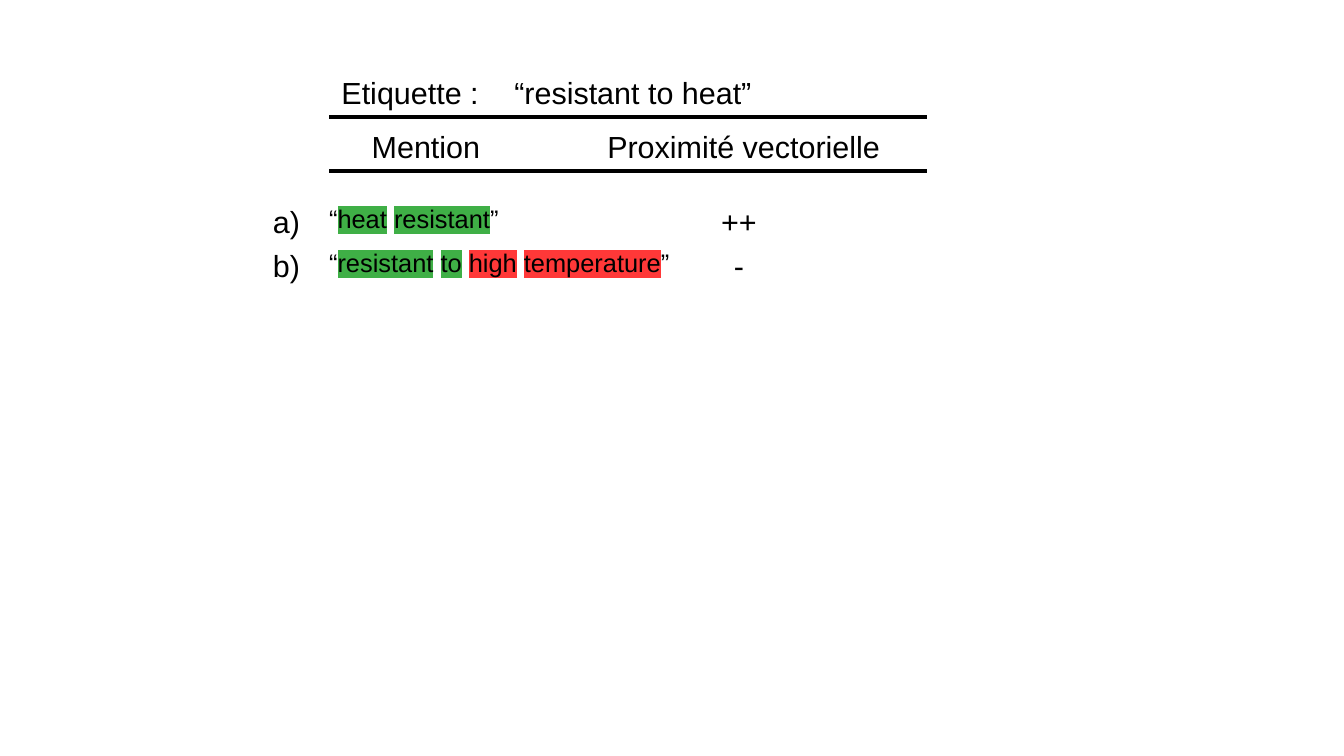
"""Build a slide comparing two mentions with the label they should match."""
from lxml.etree import SubElement
from pptx import Presentation
from pptx.dml.color import RGBColor
from pptx.enum.shapes import MSO_CONNECTOR
from pptx.enum.text import MSO_ANCHOR, MSO_AUTO_SIZE, PP_ALIGN
from pptx.oxml.ns import qn
from pptx.util import Pt

BLACK = RGBColor(0x00, 0x00, 0x00)
GREEN = RGBColor(0x3F, 0xAF, 0x46)
RED = RGBColor(0xFF, 0x38, 0x38)


class Page:
    def __init__(self, slide, font="Arial", size=18):
        self.slide = slide
        self.font = font
        self.size = size

    def style(self, run, size):
        run.font.size = Pt(size)
        run.font.name = self.font
        run.font.color.rgb = BLACK

    def fill(self, shape, text, align):
        frame = shape.text_frame
        frame.text = text
        frame.word_wrap = True
        frame.auto_size = MSO_AUTO_SIZE.NONE
        frame.vertical_anchor = MSO_ANCHOR.TOP
        line = frame.paragraphs[0]
        line.alignment = align
        for run in line.runs:
            self.style(run, self.size)

    def title(self, text, x, y, w, h=27.4):
        shape = self.slide.shapes.title
        shape.left, shape.top = Pt(x), Pt(y)
        shape.width, shape.height = Pt(w), Pt(h)
        self.fill(shape, text, PP_ALIGN.LEFT)

    def label(self, text, x, y, w, h=27.4, align=PP_ALIGN.LEFT):
        box = self.slide.shapes.add_textbox(Pt(x), Pt(y), Pt(w), Pt(h))
        self.fill(box, text, align)
        return box

    def quote(self, words, x, y, w, size=15):
        line = self.label("“", x, y, w).text_frame.paragraphs[0]
        for i, (word, color) in enumerate(words):
            if i:
                line.add_run().text = " "
            run = line.add_run()
            run.text = word
            self.mark(run, color)
        line.add_run().text = "”"
        for run in line.runs:
            self.style(run, size)

    def mark(self, run, color):
        tag = SubElement(run.font._element, qn("a:highlight"))
        SubElement(tag, qn("a:srgbClr"), val=str(color))

    def rule(self, x, y, w, width=2.3):
        line = self.slide.shapes.add_connector(
            MSO_CONNECTOR.STRAIGHT, Pt(x), Pt(y), Pt(x + w), Pt(y))
        line.line.color.rgb = BLACK
        line.line.width = Pt(width)
        SubElement(line._element.spPr, qn("a:effectLst"))


def main():
    deck = Presentation()
    deck.slide_width, deck.slide_height = Pt(793.44), Pt(446.4)
    page = Page(deck.slides.add_slide(deck.slide_layouts[5]))

    page.title("Etiquette :", 194.4, 40.3, 180)
    page.label("“resistant to heat”", 296.6, 40.3, 363)
    page.label("Mention", 212.4, 72, 180)
    page.label("Proximité vectorielle", 351.4, 72, 223)
    for y in (69.1, 100.8):
        page.rule(194.4, y, 352.8)

    rows = [
        ("a)", [("heat", GREEN), ("resistant", GREEN)], "++"),
        ("b)", [("resistant", GREEN), ("to", GREEN),
                ("high", RED), ("temperature", RED)], "-"),
    ]
    for i, (name, words, score) in enumerate(rows):
        y = 116.6 + 25.9 * i
        page.label(name, 154, y, 57.6)
        page.quote(words, 187.2, y, 252)
        page.label(score, 407.5, y, 57.6, align=PP_ALIGN.CENTER)

    deck.save("out.pptx")


if __name__ == "__main__":
    main()
